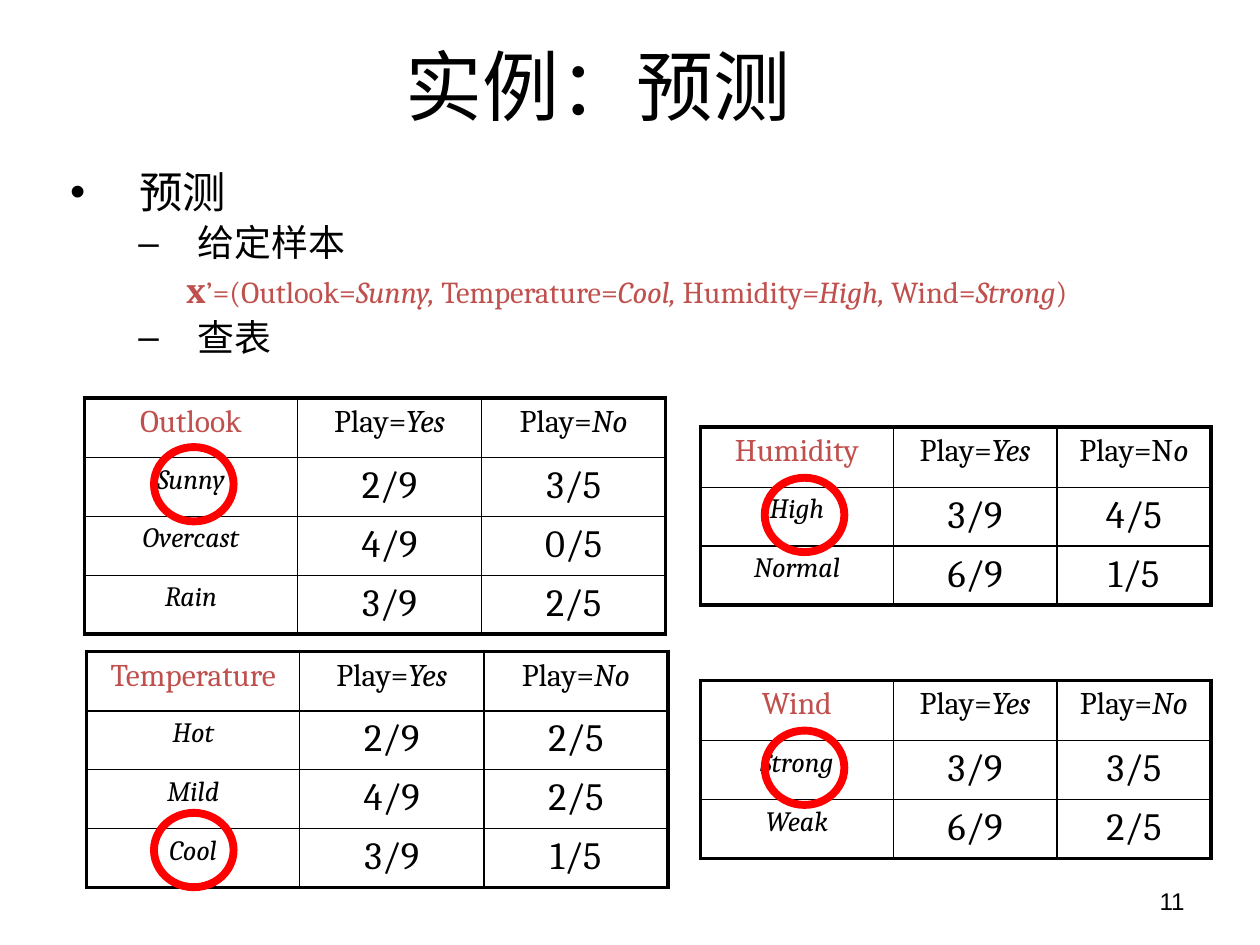
from lxml import etree
from pptx import Presentation
from pptx.dml.color import RGBColor
from pptx.enum import shapes, text
from pptx.oxml import ns
from pptx.util import Pt

BLACK = RGBColor(0x00, 0x00, 0x00)
BRICK = RGBColor(0xC0, 0x50, 0x4D)
RED = RGBColor(0xFF, 0x00, 0x00)
CENTER, RIGHT = text.PP_ALIGN.CENTER, text.PP_ALIGN.RIGHT

# Asterisks enclose italic passages.
TITLE = "实例：预测"
PAGE_NUMBER = "11"
SAMPLE = ("’=(Outlook=*Sunny, *Temperature=*Cool, *Humidity*=High, *"
          "Wind=*Strong*)")
YES, NO = "Play=*Yes*", "Play=*No*"

LEFT_GRID = dict(widths=(121.75, 105.25, 105.25), header_height=34)
RIGHT_GRID = dict(widths=(110.25, 93.5, 88), header_height=34.5)
ROW_HEIGHT = 33
TABLES = [
    (49.5, 372.25, LEFT_GRID, [
        ("Temperature", YES, NO),
        ("Hot", "2/9", "2/5"),
        ("Mild", "4/9", "2/5"),
        ("Cool", "3/9", "1/5")]),
    (400.25, 244, RIGHT_GRID, [
        ("Humidity", YES, "Play=N*o*"),
        ("High", "3/9", "4/5"),
        ("Normal", "6/9", "1/5")]),
    (48.25, 227.5, LEFT_GRID, [
        ("Outlook", YES, NO),
        ("Sunny", "2/9", "3/5"),
        ("Overcast", "4/9", "0/5"),
        ("Rain", "3/9", "2/5")]),
    (400.25, 388.75, RIGHT_GRID, [
        ("Wind", YES, NO),
        ("Strong", "3/9", "3/5"),
        ("Weak", "6/9", "2/5")]),
]
RINGS = [(88, 255.5), (88, 464.5), (437, 273), (437, 417.5)]
RING_SIZE = (45.5, 42.5)


def write(para, words, size, font="Cambria", color=BLACK, bold=False, align=None):
    """Append words to a paragraph, with *passages* in italics."""
    if align is not None:
        para.alignment = align
    for index, part in enumerate(words.split("*")):
        if part:
            span = para.add_run()
            span.text = part
            span.font.size = Pt(size)
            span.font.name = font
            span.font.color.rgb = color
            span.font.bold = bold
            span.font.italic = index % 2 == 1


def add_box(page, left, top, width, height, anchor):
    frame = page.shapes.add_textbox(Pt(left), Pt(top), Pt(width), Pt(height)).text_frame
    frame.word_wrap = True
    frame.vertical_anchor = anchor
    return frame


def set_layout(para, margin, hanging=0, bullet=None, spacing=0.9, before=0):
    para.line_spacing = spacing
    para.space_before = Pt(before)
    props = para._p.get_or_add_pPr()
    props.set("marL", str(Pt(margin)))
    props.set("indent", str(-Pt(hanging)))
    if bullet:
        font = etree.SubElement(props, ns.qn("a:buFont"))
        font.set("typeface", "Arial")
        etree.SubElement(props, ns.qn("a:buChar")).set("char", bullet)
    else:
        etree.SubElement(props, ns.qn("a:buNone"))


def set_borders(cell, widths):
    """Draw borders of the given widths: left, right, top, bottom."""
    props = cell._tc.get_or_add_tcPr()
    for index, (side, width) in enumerate(zip("LRTB", widths)):
        line = etree.Element(ns.qn(f"a:ln{side}"), w=str(Pt(width)))
        fill = etree.SubElement(line, ns.qn("a:solidFill"))
        etree.SubElement(fill, ns.qn("a:srgbClr")).set("val", str(BLACK))
        props.insert(index, line)


def add_table(page, left, top, grid, rows):
    widths = grid["widths"]
    heights = [grid["header_height"]] + [ROW_HEIGHT] * (len(rows) - 1)
    table = page.shapes.add_table(len(rows), len(widths), Pt(left), Pt(top),
                                  Pt(sum(widths)), Pt(sum(heights))).table
    table.first_row = table.horz_banding = False
    for column, width in zip(table.columns, widths):
        column.width = Pt(width)
    for row, height in zip(table.rows, heights):
        row.height = Pt(height)
    last_row, last_col = len(rows) - 1, len(widths) - 1
    for r, row in enumerate(rows):
        for c, words in enumerate(row):
            cell = table.cell(r, c)
            cell.fill.background()
            cell.margin_left = cell.margin_right = Pt(5.75)
            edges = (c == 0, c == last_col, r == 0, r == last_row)
            set_borders(cell, [2.25 if outer else 1 for outer in edges])
            para = cell.text_frame.paragraphs[0]
            if r == 0:
                write(para, words, 18, color=BLACK if c else BRICK, align=CENTER)
            elif c == 0:
                write(para, f"*{words}*", 16, align=CENTER)
            else:
                write(para, words, 22, align=CENTER)


def add_ring(page, left, top):
    ring = page.shapes.add_shape(shapes.MSO_SHAPE.OVAL, Pt(left), Pt(top),
                                 *map(Pt, RING_SIZE))
    ring.shadow.inherit = False
    ring.fill.background()
    ring.line.color.rgb = RED
    ring.line.width = Pt(4.5)


def main():
    deck = Presentation()
    deck.slide_width, deck.slide_height = Pt(720), Pt(540)
    page = deck.slides.add_slide(deck.slide_layouts[6])

    title = add_box(page, 38.25, 3.5, 674.5, 90, text.MSO_ANCHOR.MIDDLE)
    title.margin_right = Pt(74)
    write(title.paragraphs[0], TITLE, 44, "Calibri", align=CENTER)

    number = add_box(page, 516, 500.5, 168, 28.75, text.MSO_ANCHOR.MIDDLE)
    write(number.paragraphs[0], PAGE_NUMBER, 13.8, "Arial", align=RIGHT)

    body = add_box(page, 33, 85, 668, 413.25, text.MSO_ANCHOR.TOP)
    topic = body.paragraphs[0]
    set_layout(topic, 39.5, 39.5, "•", spacing=1.2)
    write(topic, "预测", 24.8, "Roboto")
    given, sample, lookup = (body.add_paragraph() for _ in range(3))
    for para, words in ((given, "给定样本"), (lookup, "查表")):
        para.level = 1
        set_layout(para, 72.75, 33.75, "–", before=4.2)
        write(para, words, 21.1, "Roboto")
    sample.level = 1
    set_layout(sample, 66.5, before=4.2)
    write(sample, "x", 21.1, color=BRICK, bold=True)
    write(sample, SAMPLE, 17.4, color=BRICK)

    for table in TABLES:
        add_table(page, *table)
    for ring in RINGS:
        add_ring(page, *ring)
    deck.save("out.pptx")


if __name__ == "__main__":
    main()
